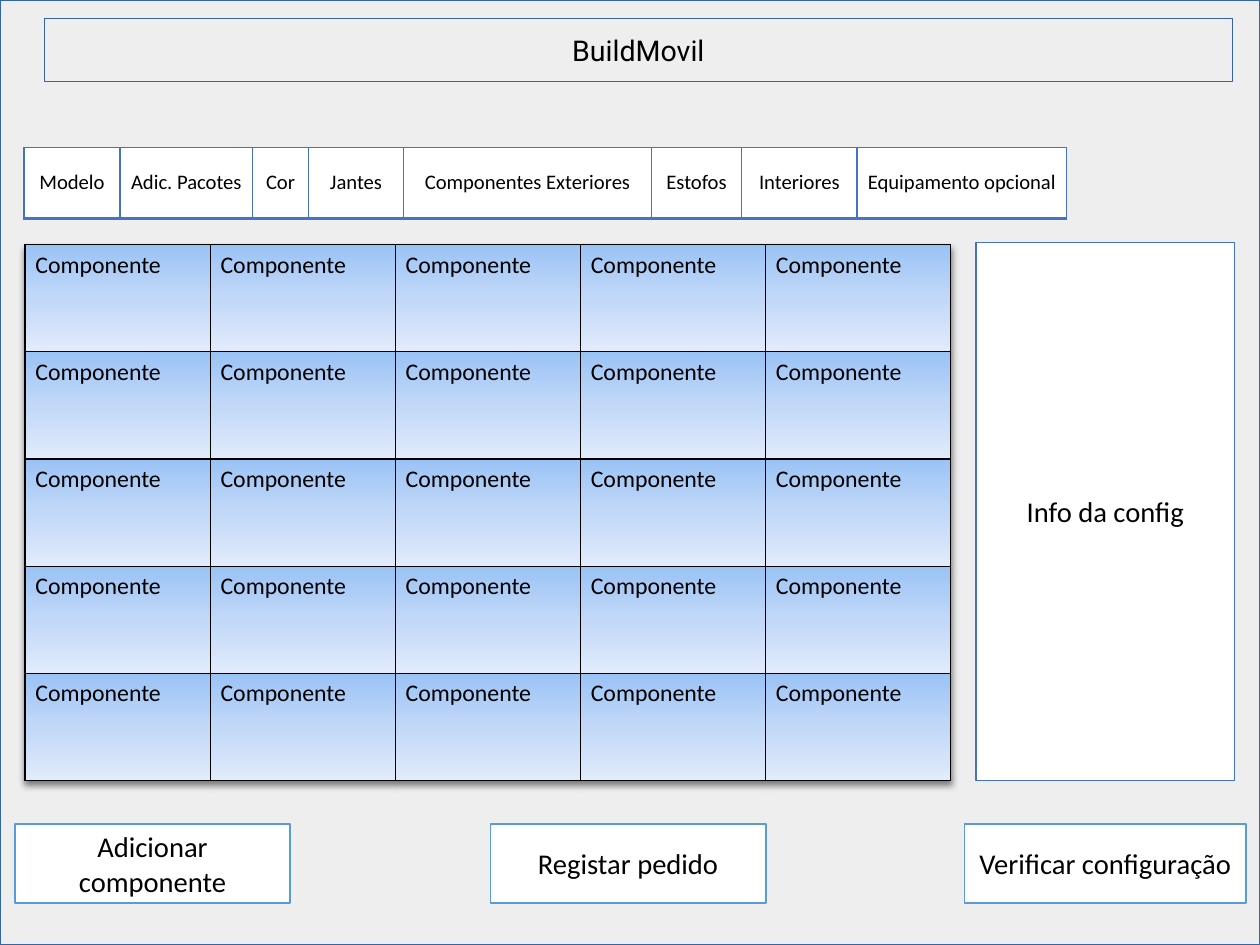
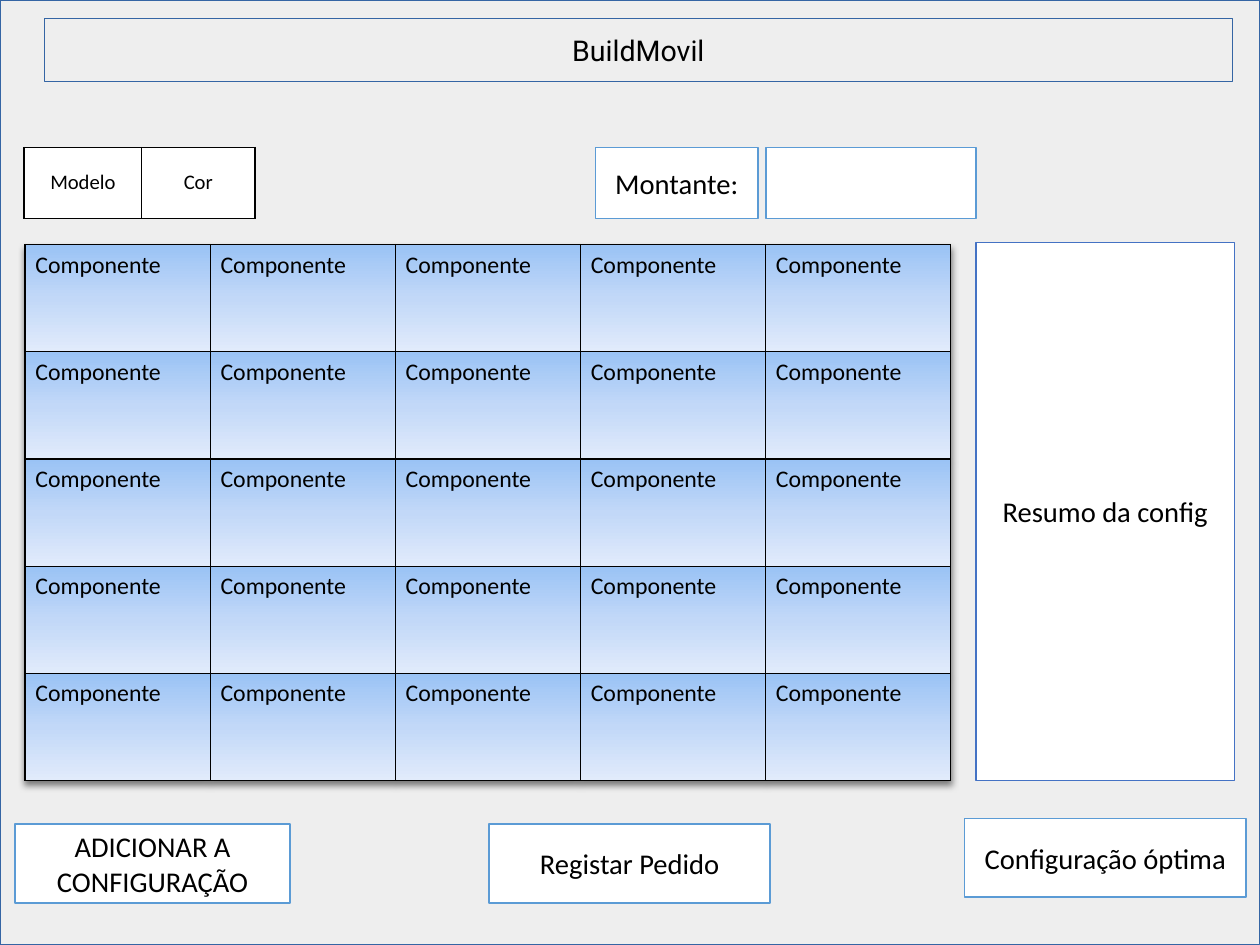
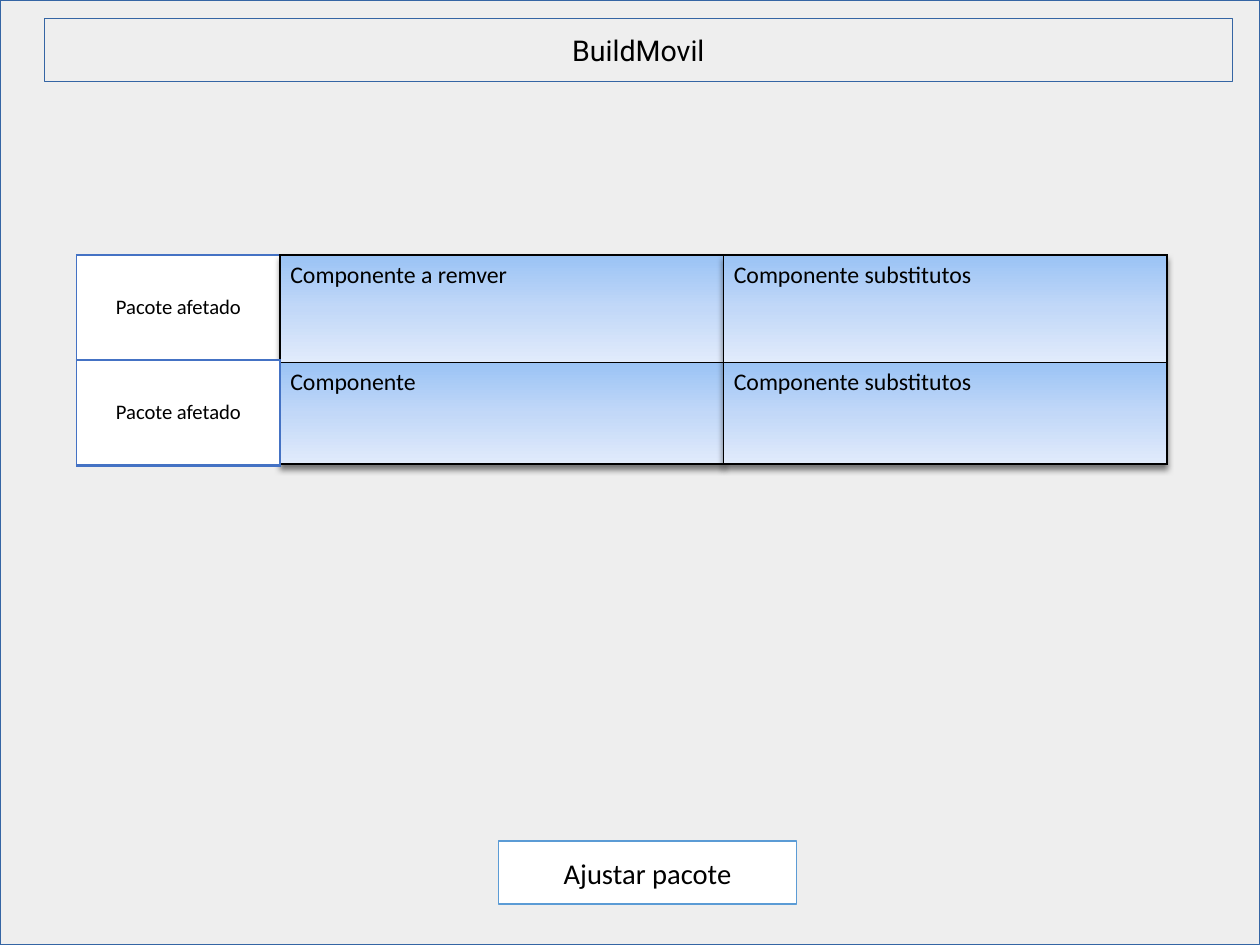
import pptx
import pptx.dml.color
import pptx.enum.shapes
import pptx.enum.text
import pptx.oxml
import pptx.oxml.ns
import pptx.util

Inches = pptx.util.Inches
Pt = pptx.util.Pt
RGBColor = pptx.dml.color.RGBColor
ALIGN = pptx.enum.text.PP_ALIGN
ANCHOR = pptx.enum.text.MSO_ANCHOR

# Shared look; the page is 28 by 21 centimetres
WIDTH, HEIGHT = 28 / 2.54, 21 / 2.54
BLACK = RGBColor(0x00, 0x00, 0x00)
WHITE = RGBColor(0xFF, 0xFF, 0xFF)
GREY = RGBColor(0xEE, 0xEE, 0xEE)
FRAME_BLUE = RGBColor(0x34, 0x65, 0xA4)
PANEL_BLUE = RGBColor(0x44, 0x72, 0xC4)
BUTTON_BLUE = RGBColor(0x5B, 0x9B, 0xD5)
GRADIENT = [
    (0, RGBColor(0x9A, 0xC3, 0xF5)),
    (50, RGBColor(0xC2, 0xD8, 0xF8)),
    (100, RGBColor(0xE1, 0xEB, 0xFB)),
]
BODY_FONT, TITLE_FONT = "Calibri", "Roboto"
TITLE = "BuildMovil"

# Shared places: left, top, width, height
TITLE_BOX = (0.39, 0.16, 10.39, 0.55)
PANEL_BOX = (8.54, 2.12, 2.26, 4.71)
TAB_LEFT, TAB_TOP, TAB_HEIGHT = 0.21, 1.29, 0.62
GRID_LEFT, GRID_TOP, GRID_WIDTH, GRID_HEIGHT = 0.22, 2.14, 8.1, 4.69
GRID_COUNT = 5

# Content of the two configuration slides
CONFIGURATION_SLIDES = [
    {
        "tabs": [("Modelo", 0.84), ("Adic. Pacotes", 1.16), ("Cor", 0.49),
                 ("Jantes", 0.83), ("Componentes Exteriores", 2.17),
                 ("Estofos", 0.79), ("Interiores", 1.01),
                 ("Equipamento opcional", 1.83)],
        "tab_border": (PANEL_BLUE, 2),
        "panel": "Info da config",
        "boxes": [("Adicionar componente", (0.13, 7.21, 2.41, 0.69)),
                  ("Verificar configuração", (8.44, 7.21, 2.46, 0.69)),
                  ("Registar pedido", (4.29, 7.21, 2.41, 0.69))],
    },
    {
        "tabs": [("Modelo", 1.03), ("Cor", 0.99)],
        "tab_border": (BLACK, 1),
        "panel": "Resumo da config",
        "boxes": [("ADICIONAR A CONFIGURAÇÃO", (0.13, 7.21, 2.41, 0.69)),
                  ("Registar Pedido", (4.28, 7.21, 2.46, 0.69)),
                  ("Montante:", (5.21, TAB_TOP, 1.42, TAB_HEIGHT)),
                  ("", (6.7, TAB_TOP, 1.84, TAB_HEIGHT)),
                  ("Configuração óptima", (8.44, 7.16, 2.46, 0.69))],
    },
]

# Content of the package slide: each label comes with the column it precedes
PACKAGE_LABEL = "Pacote afetado"
PACKAGE_COLUMNS = [
    ["Componente a remver", "Componente"],
    ["Componente substitutos", "Componente substitutos"],
]
PACKAGE_LEFT, PACKAGE_TOP = 0.67, 2.23
LABEL_WIDTH, LABEL_HEIGHT = 1.78, 0.92
COLUMN_WIDTH, COLUMN_ROWS = 3.88, [0.94, 0.89]
PACKAGE_BUTTON = ("Ajustar pacote", (4.36, 7.36, 2.61, 0.55))


def write_text(frame, text, size=18, font=BODY_FONT, align=ALIGN.CENTER):
    paragraph = frame.paragraphs[0]
    paragraph.alignment = align
    run = paragraph.add_run()
    run.text = text
    run.font.size = Pt(size)
    run.font.name = font
    run.font.color.rgb = BLACK


def add_box(slide, box, text="", fill=WHITE, line=BUTTON_BLUE, line_width=1,
            font=BODY_FONT, wrap=True):
    shape = slide.shapes.add_shape(
        pptx.enum.shapes.MSO_SHAPE.RECTANGLE, *map(Inches, box))
    shape.shadow.inherit = False
    shape.fill.solid()
    shape.fill.fore_color.rgb = fill
    shape.line.color.rgb = line
    shape.line.width = Pt(line_width)
    if text:
        shape.text_frame.word_wrap = wrap
        shape.text_frame.vertical_anchor = ANCHOR.MIDDLE
        write_text(shape.text_frame, text, font=font)


def drawing_xml(xml):
    namespace = pptx.oxml.ns.nsdecls("a")
    return pptx.oxml.parse_xml(xml.replace(">", f" {namespace}>", 1))


def set_borders(cell, color, bottom_width):
    properties = cell._tc.get_or_add_tcPr()
    for side, width in (("L", 1), ("R", 1), ("T", 1), ("B", bottom_width)):
        properties.append(drawing_xml(
            f'<a:ln{side} w="{Pt(width)}"><a:solidFill>'
            f'<a:srgbClr val="{color}"/></a:solidFill></a:ln{side}>'))


def set_gradient(cell):
    stops = "".join(
        f'<a:gs pos="{percent * 1000}"><a:srgbClr val="{color}"/></a:gs>'
        for percent, color in GRADIENT)
    cell._tc.get_or_add_tcPr().append(drawing_xml(
        f'<a:gradFill rotWithShape="1"><a:gsLst>{stops}</a:gsLst>'
        '<a:lin ang="5400000" scaled="0"/></a:gradFill>'))


def add_shadow(table):
    table._tbl.tblPr.insert(0, drawing_xml(
        '<a:effectLst><a:outerShdw blurRad="50800" dist="38100" dir="5400000" '
        'algn="t" rotWithShape="0"><a:srgbClr val="000000">'
        '<a:alpha val="50000"/></a:srgbClr></a:outerShdw></a:effectLst>'))


def add_cells(slide, left, top, widths, heights, rows, border=(BLACK, 1),
              component=False):
    """Component cells are shaded and top left; the others white and centred."""
    table = slide.shapes.add_table(
        len(heights), len(widths), Inches(left), Inches(top),
        Inches(sum(widths)), Inches(sum(heights))).table
    table.first_row = table.horz_banding = False
    for column, width in zip(table.columns, widths):
        column.width = Inches(width)
    for row, height in zip(table.rows, heights):
        row.height = Inches(height)
    if component:
        add_shadow(table)
    for row, texts in zip(table.rows, rows):
        for cell, text in zip(row.cells, texts):
            cell.margin_left = cell.margin_right = Inches(0.09 if component else 0.05)
            cell.margin_top = cell.margin_bottom = Inches(0.05)
            set_borders(cell, *border)
            if component:
                set_gradient(cell)
                write_text(cell.text_frame, text, size=15, align=ALIGN.LEFT)
            else:
                cell.fill.solid()
                cell.fill.fore_color.rgb = WHITE
                cell.vertical_anchor = ANCHOR.MIDDLE
                write_text(cell.text_frame, text, size=13)


def add_base_slide(presentation):
    slide = presentation.slides.add_slide(presentation.slide_layouts[6])
    add_box(slide, (0, 0, WIDTH, HEIGHT), fill=GREY, line=FRAME_BLUE, line_width=0)
    add_box(slide, TITLE_BOX, TITLE, fill=GREY, line=FRAME_BLUE, line_width=0,
            font=TITLE_FONT, wrap=False)
    return slide


def add_configuration_slide(presentation, content):
    slide = add_base_slide(presentation)
    names, widths = zip(*content["tabs"])
    add_cells(slide, TAB_LEFT, TAB_TOP, widths, [TAB_HEIGHT], [names],
              border=content["tab_border"])
    add_cells(slide, GRID_LEFT, GRID_TOP,
              [GRID_WIDTH / GRID_COUNT] * GRID_COUNT,
              [GRID_HEIGHT / GRID_COUNT] * GRID_COUNT,
              [["Componente"] * GRID_COUNT] * GRID_COUNT, component=True)
    add_box(slide, PANEL_BOX, content["panel"], line=PANEL_BLUE)
    for text, box in content["boxes"]:
        add_box(slide, box, text)


def add_package_slide(presentation):
    slide = add_base_slide(presentation)
    for index, texts in enumerate(PACKAGE_COLUMNS):
        add_cells(slide, PACKAGE_LEFT, PACKAGE_TOP + index * LABEL_HEIGHT,
                  [LABEL_WIDTH], [LABEL_HEIGHT], [[PACKAGE_LABEL]],
                  border=(PANEL_BLUE, 2))
        add_cells(slide, PACKAGE_LEFT + LABEL_WIDTH + index * COLUMN_WIDTH,
                  PACKAGE_TOP, [COLUMN_WIDTH], COLUMN_ROWS,
                  [[text] for text in texts], component=True)
    text, box = PACKAGE_BUTTON
    add_box(slide, box, text)


def main():
    presentation = pptx.Presentation()
    presentation.slide_width = Inches(WIDTH)
    presentation.slide_height = Inches(HEIGHT)
    for content in CONFIGURATION_SLIDES:
        add_configuration_slide(presentation, content)
    add_package_slide(presentation)
    presentation.save("out.pptx")


if __name__ == "__main__":
    main()
